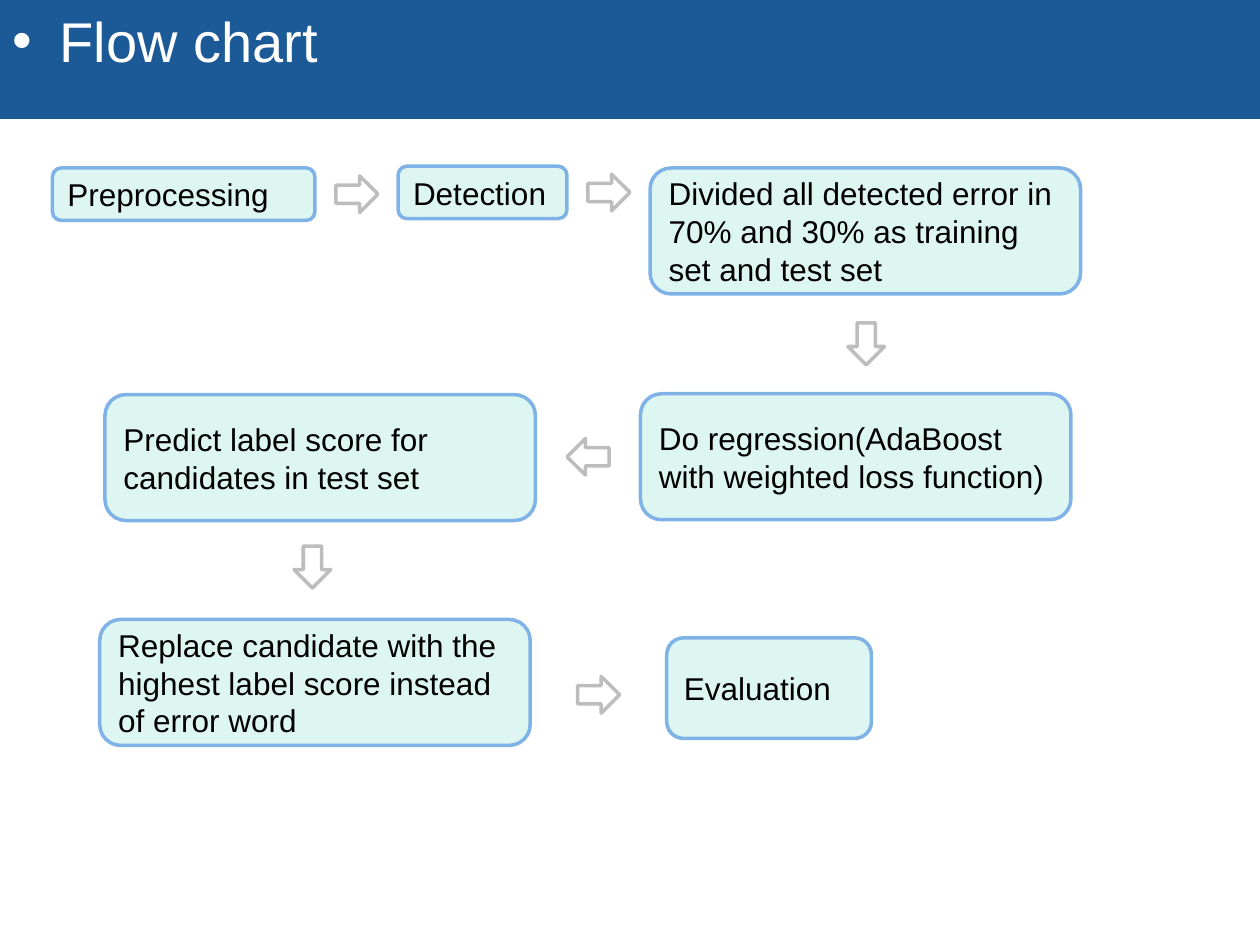
from dataclasses import dataclass

from lxml.etree import SubElement
from pptx import Presentation
from pptx.dml.color import RGBColor
from pptx.enum.shapes import MSO_SHAPE
from pptx.enum.text import MSO_ANCHOR, PP_ALIGN
from pptx.oxml.ns import qn
from pptx.util import Pt


@dataclass(frozen=True)
class Theme:
    font: str = "Arial"
    title_size: int = 32
    step_size: int = 18
    line_width: int = 2
    banner: str = "1C5997"
    title: str = "FFFFFF"
    text: str = "000000"
    step_fill: str = "DEF6F1"
    step_line: str = "7FB3E7"
    arrow_fill: str = "FFFFFF"
    arrow_line: str = "BDBDBD"


THEME = Theme()
ARROW_SIZE = (24, 21)
WIDE_STEP = (246, 72)

# text, left, top, (width, height)
STEPS = [
    ("Preprocessing", 30, 96, (150, 30)),
    ("Detection", 227.5, 95, (96.5, 30)),
    ("Divided all detected error in 70% and 30% as training set and test set",
     371.5, 96, WIDE_STEP),
    ("Do regression(AdaBoost with weighted loss function)", 366, 225, WIDE_STEP),
    ("Predict label score for candidates in test set", 60, 225.5, WIDE_STEP),
    ("Replace candidate with the highest label score instead of error word",
     57, 354, WIDE_STEP),
    ("Evaluation", 381, 364.5, (117, 57.5)),
]

# left, top, rotation
ARROWS = [
    (192, 100.5, 0),
    (336, 99.5, 0),
    (483, 186, 90),
    (324, 250.5, 180),
    (166.5, 313.5, 90),
    (330, 386.5, 0),
]


def add_box(page, kind, left, top, size, fill, line=None):
    width, height = size
    box = page.shapes.add_shape(kind, Pt(left), Pt(top), Pt(width), Pt(height))
    box.shadow.inherit = False
    box.fill.solid()
    box.fill.fore_color.rgb = RGBColor.from_string(fill)
    if line:
        box.line.color.rgb = RGBColor.from_string(line)
        box.line.width = Pt(THEME.line_width)
    else:
        box.line.fill.background()
    return box


def write(box, text, *, size, color, anchor):
    frame = box.text_frame
    frame.word_wrap = True
    frame.vertical_anchor = anchor
    para = frame.paragraphs[0]
    para.alignment = PP_ALIGN.LEFT
    span = para.add_run()
    span.text = text
    span.font.name = THEME.font
    span.font.size = Pt(size)
    span.font.color.rgb = RGBColor.from_string(color)
    return para


def add_bullet(para, indent):
    """Give the paragraph a hanging bullet."""
    properties = para._p.get_or_add_pPr()
    properties.set("marL", str(Pt(indent)))
    properties.set("indent", str(-Pt(indent)))
    SubElement(properties, qn("a:buFont"), typeface=THEME.font)
    SubElement(properties, qn("a:buChar"), char="•")


def add_title(page, text):
    add_box(page, MSO_SHAPE.RECTANGLE, 0, 0, (721.5, 68), THEME.banner)
    box = page.shapes.add_textbox(0, 0, Pt(720), Pt(482.5))
    para = write(box, text, size=THEME.title_size, color=THEME.title,
                 anchor=MSO_ANCHOR.TOP)
    para.space_before = Pt(6.4)
    add_bullet(para, 27)


def add_step(page, text, left, top, size):
    box = add_box(page, MSO_SHAPE.ROUNDED_RECTANGLE, left, top, size,
                  THEME.step_fill, THEME.step_line)
    write(box, text, size=THEME.step_size, color=THEME.text,
          anchor=MSO_ANCHOR.MIDDLE)


def add_arrow(page, left, top, rotation):
    arrow = add_box(page, MSO_SHAPE.RIGHT_ARROW, left, top, ARROW_SIZE,
                    THEME.arrow_fill, THEME.arrow_line)
    arrow.rotation = rotation


def main():
    deck = Presentation()
    deck.slide_width, deck.slide_height = Pt(720), Pt(540)
    page = deck.slides.add_slide(deck.slide_layouts[6])
    add_title(page, "Flow chart")
    for step in STEPS:
        add_step(page, *step)
    for arrow in ARROWS:
        add_arrow(page, *arrow)
    deck.save("out.pptx")


if __name__ == "__main__":
    main()
